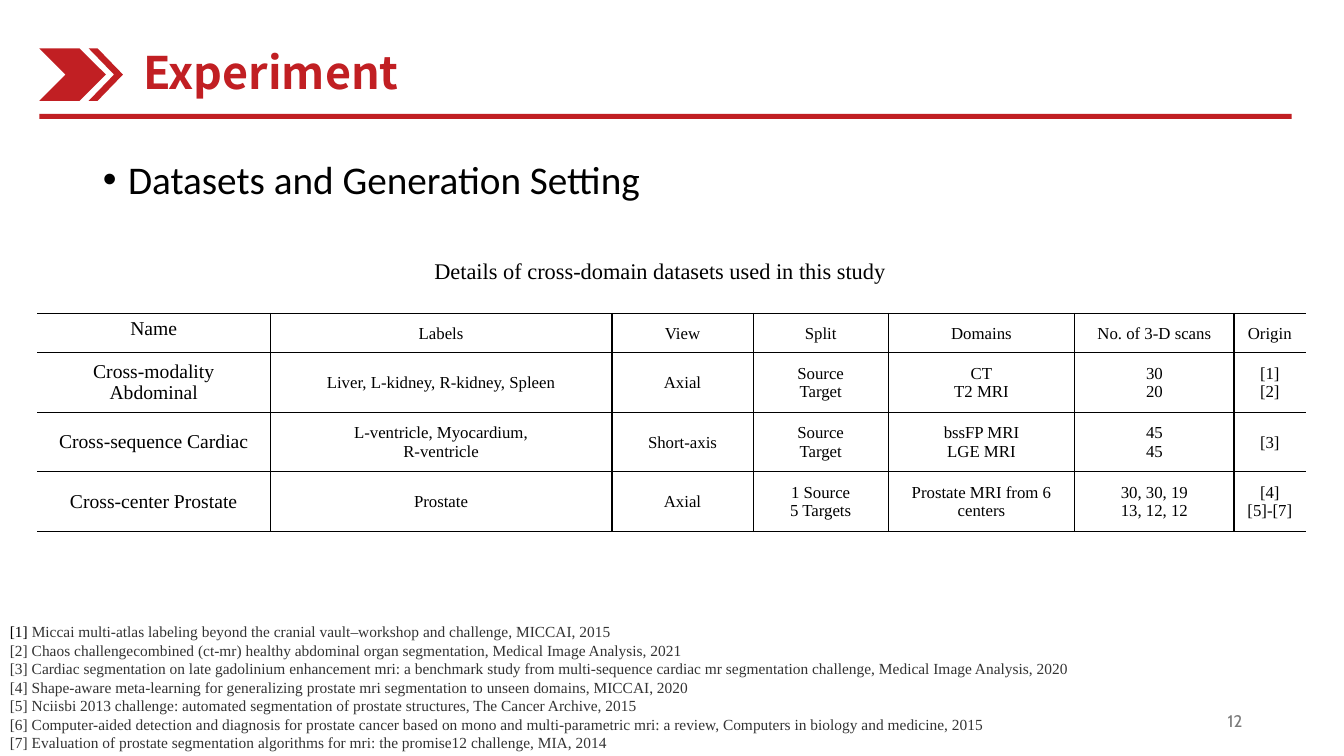
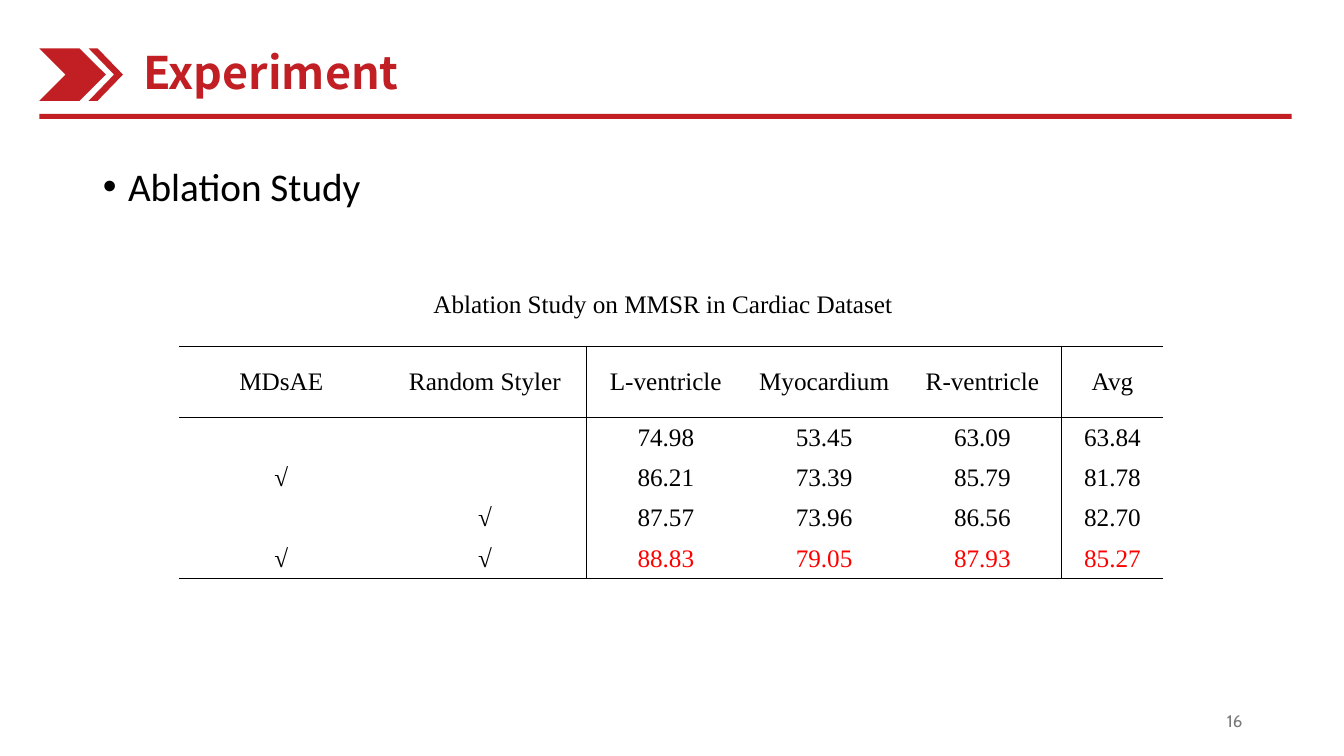
from lxml.etree import SubElement
from pptx import Presentation
from pptx.dml.color import RGBColor
from pptx.enum.shapes import MSO_SHAPE
from pptx.enum.text import MSO_ANCHOR, MSO_AUTO_SIZE, PP_ALIGN
from pptx.oxml.ns import qn
from pptx.util import Inches, Pt

# Shared style
RED, BLACK, DARK_GREY, GREY = "C11F23", "000000", "333333", "797979"
HIGHLIGHT = "FF0000"
TITLE_FONT, BODY_FONT, SERIF, NUMBER_FONT = (
    "Noto Sans CJK SC", "Calibri", "Times New Roman", "Cabin")
NO_TABLE_STYLE = "{2D5ABB26-0587-4C30-8999-92F81FD0307C}"
BODY_BOTTOM = 6.76

# Content
DATASETS = [
    ["Name", "Labels", "View", "Split", "Domains", "No. of 3-D scans", "Origin"],
    ["Cross-modality Abdominal", "Liver, L-kidney, R-kidney, Spleen", "Axial",
     "Source\nTarget", "CT\nT2 MRI", "30\n20", "[1]\n[2]"],
    ["Cross-sequence Cardiac", "L-ventricle, Myocardium,\nR-ventricle", "Short-axis",
     "Source\nTarget", "bssFP MRI\nLGE MRI", "45\n45", "[3]"],
    ["Cross-center Prostate", "Prostate", "Axial", "1 Source\n5 Targets",
     "Prostate MRI from 6 centers", "30, 30, 19\n13, 12, 12", "[4]\n[5]-[7]"],
]
ABLATION = [
    ["MDsAE", "Random Styler", "L-ventricle", "Myocardium", "R-ventricle", "Avg"],
    ["", "", "74.98", "53.45", "63.09", "63.84"],
    ["√", "", "86.21", "73.39", "85.79", "81.78"],
    ["", "√", "87.57", "73.96", "86.56", "82.70"],
    ["√", "√", "88.83", "79.05", "87.93", "85.27"],
]
REFERENCES = [
    "Miccai multi-atlas labeling beyond the cranial vault–workshop and challenge, MICCAI, 2015",
    "Chaos challengecombined (ct-mr) healthy abdominal organ segmentation, "
    "Medical Image Analysis, 2021",
    "Cardiac segmentation on late gadolinium enhancement mri: a benchmark study from "
    "multi-sequence cardiac mr segmentation challenge, Medical Image Analysis, 2020",
    "Shape-aware meta-learning for generalizing prostate mri segmentation to unseen domains, "
    "MICCAI, 2020",
    "Nciisbi 2013 challenge: automated segmentation of prostate structures, "
    "The Cancer Archive, 2015",
    "Computer-aided detection and diagnosis for prostate cancer based on mono and "
    "multi-parametric mri: a review, Computers in biology and medicine, 2015",
    "Evaluation of prostate segmentation algorithms for mri: the promise12 challenge, MIA, 2014",
]


def rgb(value):
    return RGBColor.from_string(value)


def inches(*values):
    return [Inches(value) for value in values]


def place(shape, *box):
    shape.left, shape.top, shape.width, shape.height = inches(*box)


def add_run(paragraph, text, size, font, color, bold=False):
    run = paragraph.add_run()
    run.text = text
    run.font.size, run.font.name, run.font.bold = Pt(size), font, bold
    run.font.color.rgb = rgb(color)


def write_text(frame, text, size=12, font=SERIF, color=BLACK, bold=False,
               align=PP_ALIGN.LEFT):
    """Write each line of the text as a paragraph."""
    for index, line in enumerate(text.split("\n")):
        paragraph = frame.add_paragraph() if index else frame.paragraphs[0]
        paragraph.alignment = align
        if line:
            add_run(paragraph, line, size, font, color, bold)


def add_text(slide, box, text, anchor=MSO_ANCHOR.TOP, **text_format):
    frame = slide.shapes.add_textbox(*inches(*box)).text_frame
    frame.word_wrap = True
    frame.vertical_anchor = anchor
    write_text(frame, text, **text_format)
    return frame


def add_red_shape(shapes, kind, *box):
    shape = shapes.add_shape(kind, *inches(*box))
    shape.shadow.inherit = False
    shape.fill.solid()
    shape.fill.fore_color.rgb = rgb(RED)
    shape.line.fill.background()
    return shape


def add_base_slide(presentation, title, topic, topic_top, number):
    """Add a slide with the red heading, one bullet and the page number."""
    slide = presentation.slides.add_slide(presentation.slide_layouts[1])

    # Title and bullet placeholders
    place(slide.shapes.title, 1.32, 0.39, 4.72, 0.64)
    frame = slide.shapes.title.text_frame
    frame.vertical_anchor = MSO_ANCHOR.TOP
    frame.auto_size = MSO_AUTO_SIZE.NONE
    write_text(frame, title, size=32, font=TITLE_FONT, color=RED, bold=True)

    body = slide.placeholders[1]
    place(body, 0.92, topic_top, 11.5, BODY_BOTTOM - topic_top)
    write_text(body.text_frame, topic, size=28, font=BODY_FONT)
    paragraph = body.text_frame.paragraphs[0]
    paragraph.line_spacing, paragraph.space_before = 0.9, Pt(10)
    properties = paragraph._p.get_or_add_pPr()
    properties.set("marL", str(Inches(0.25)))
    properties.set("indent", str(Inches(-0.25)))

    # Rule and double chevron
    add_red_shape(slide.shapes, MSO_SHAPE.RECTANGLE, 0.39, 1.13, 12.42, 0.05)
    group = slide.shapes.add_group_shape()
    for left, width, notch in ((0.39, 0.66, 0.5), (0.88, 0.34, 0.74)):
        chevron = add_red_shape(group.shapes, MSO_SHAPE.CHEVRON, left, 0.48, width, 0.52)
        chevron.adjustments[0] = notch

    # Page number
    add_text(slide, (9.42, 6.95, 3, 0.4), number, anchor=MSO_ANCHOR.MIDDLE,
             font=NUMBER_FONT, color=GREY, align=PP_ALIGN.RIGHT)
    return slide


def set_borders(cell, sides):
    """Draw a thin black line on each side marked true."""
    properties = cell._tc.get_or_add_tcPr()
    for side, visible in sides.items():
        line = SubElement(properties, qn(f"a:ln{side}"), w=str(Pt(1)))
        if visible:
            fill = SubElement(line, qn("a:solidFill"))
            SubElement(fill, qn("a:srgbClr"), val=BLACK)
        else:
            SubElement(line, qn("a:noFill"))


def add_ruled_table(slide, left, top, rows, widths, heights, dividers, rules, cell_format):
    """Dividers and rules number the inner column and row edges that carry a line."""
    frame = slide.shapes.add_table(
        len(rows), len(widths), *inches(left, top, sum(widths), sum(heights)))
    next(frame._element.iter(qn("a:tableStyleId"))).text = NO_TABLE_STYLE
    table = frame.table
    table.first_row = table.horz_banding = False
    for column, width in zip(table.columns, widths):
        column.width = Inches(width)
    for row, height in zip(table.rows, heights):
        row.height = Inches(height)
    for row_index, row in enumerate(rows):
        for column_index, text in enumerate(row):
            cell = table.cell(row_index, column_index)
            cell.vertical_anchor = MSO_ANCHOR.MIDDLE
            write_text(cell.text_frame, text, align=PP_ALIGN.CENTER,
                       **cell_format(row_index, column_index))
            set_borders(cell, {
                "L": column_index in dividers, "R": column_index + 1 in dividers,
                "T": row_index in rules, "B": row_index + 1 in rules})
            cell.fill.background()
    return table


def add_references(slide):
    frame = add_text(slide, (0, 6.11, 11, 1.4), "", anchor=MSO_ANCHOR.BOTTOM)
    for number, reference in enumerate(REFERENCES, 1):
        paragraph = frame.paragraphs[0] if number == 1 else frame.add_paragraph()
        add_run(paragraph, f"[{number}] ", 11, SERIF, BLACK if number == 1 else DARK_GREY)
        add_run(paragraph, reference, 11, SERIF, DARK_GREY)


def build_datasets_slide(presentation):
    slide = add_base_slide(presentation, "Experiment", "Datasets and Generation Setting",
                           1.54, "12")
    add_references(slide)
    table = add_ruled_table(
        slide, 0.37, 3.11, DATASETS,
        widths=[2.31, 3.39, 1.4, 1.34, 1.85, 1.58, 0.71], heights=[0.39] + [0.59] * 3,
        dividers=range(1, 7), rules=range(5),
        cell_format=lambda row, column: {"size": 12 if column else 14})
    table.cell(0, 0).vertical_anchor = MSO_ANCHOR.TOP
    for row in table.rows:
        for cell in list(row.cells)[1:]:
            cell.margin_left = cell.margin_right = cell.margin_top = Inches(0.01)
            cell.margin_bottom = 0
    add_text(slide, (4.21, 2.5, 4.91, 0.37),
             "Details of cross-domain datasets used in this study",
             anchor=MSO_ANCHOR.BOTTOM, size=16)


def build_ablation_slide(presentation):
    slide = add_base_slide(presentation, "Experiment", "Ablation Study", 1.61, "16")
    add_text(slide, (4.2, 2.81, 4.8, 0.4), "Ablation Study on MMSR in Cardiac Dataset", size=18)
    best_row = len(ABLATION) - 1
    add_ruled_table(
        slide, 1.78, 3.44, ABLATION,
        widths=[2.02] * 2 + [1.57] * 3 + [1.01], heights=[0.7] + [0.4] * 4,
        dividers=(2, 5), rules=(0, 1, 5),
        cell_format=lambda row, column: {
            "size": 18, "color": HIGHLIGHT if row == best_row and column > 1 else BLACK})


def main():
    presentation = Presentation()
    presentation.slide_width, presentation.slide_height = inches(13.33, 7.5)
    build_datasets_slide(presentation)
    build_ablation_slide(presentation)
    presentation.save("out.pptx")


if __name__ == "__main__":
    main()
